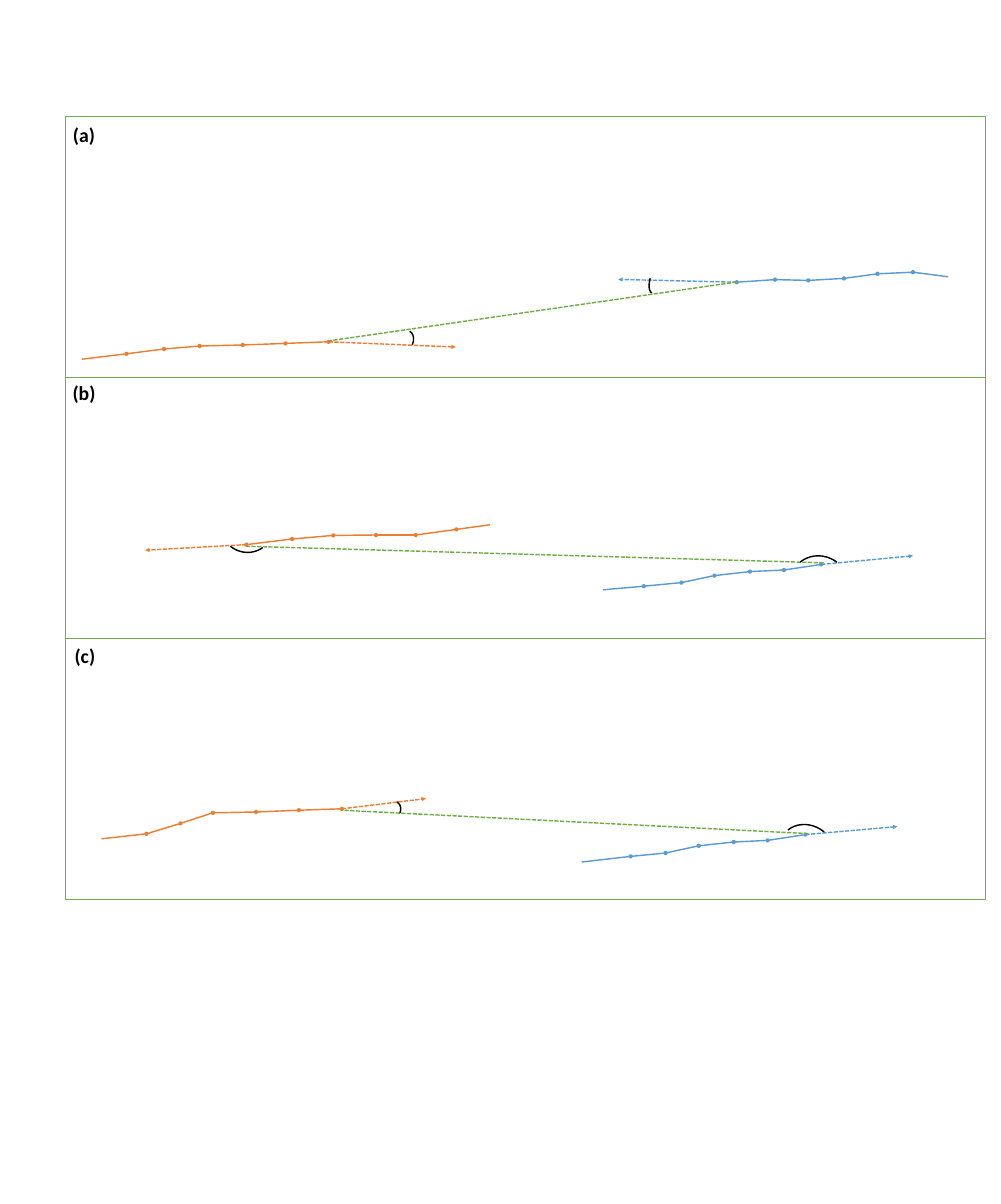
from lxml import etree
from pptx import Presentation
from pptx.dml.color import RGBColor
from pptx.enum.dml import MSO_LINE
from pptx.enum.shapes import MSO_CONNECTOR, MSO_SHAPE
from pptx.enum.text import MSO_AUTO_SIZE
from pptx.oxml.ns import qn
from pptx.util import Cm, Pt

STRAIGHT = MSO_CONNECTOR.STRAIGHT
RECTANGLE, ARC = MSO_SHAPE.RECTANGLE, MSO_SHAPE.ARC
SHORT_DASH = MSO_LINE.SQUARE_DOT
FIT_SHAPE = MSO_AUTO_SIZE.SHAPE_TO_FIT_TEXT

ORANGE = RGBColor(0xED, 0x7D, 0x31)
BLUE = RGBColor(0x5B, 0x9B, 0xD5)
GREEN = RGBColor(0x70, 0xAD, 0x47)
BLACK = RGBColor(0x00, 0x00, 0x00)

PANEL_LEFT, PANEL_TOP, PANEL_WIDTH, PANEL_HEIGHT = 3.28, 5.84, 46, 13.05

# All lengths are in centimetres. Tracks run from the end that faces the link.
# Arcs are left, top, width, height, rotation.
PANELS = [
    {
        "label": ("(a)", 3.4, 6.02, 3.18),
        "tracks": [
            (ORANGE, (22.78, 17.35),
             [(16.43, 17.09), (14.27, 17.17), (12.14, 17.25), (9.98, 17.3),
              (8.2, 17.45), (6.32, 17.69), (4.09, 17.96)]),
            (BLUE, (30.91, 13.97),
             [(36.83, 14.11), (38.74, 13.98), (40.41, 14.02), (42.19, 13.92),
              (43.87, 13.69), (45.64, 13.61), (47.4, 13.84)]),
        ],
        "link": ((36.83, 14.1), (16.46, 17.04)),
        "arcs": [(19.66, 16.46, 0.97, 1.27, 32),
                 (32.51, 13.18, 0.61, 1.5, 197.7)],
    },
    {
        "label": ("(b)", 3.38, 18.92, 3.68),
        "tracks": [
            (ORANGE, (7.26, 27.51),
             [(12.32, 27.23), (14.6, 26.95), (16.66, 26.77), (18.8, 26.75),
              (20.78, 26.75), (22.81, 26.47), (24.49, 26.24)]),
            (BLUE, (45.64, 27.79),
             [(41.05, 28.22), (39.19, 28.5), (37.49, 28.58), (35.71, 28.78),
              (34.06, 29.13), (32.18, 29.31), (30.15, 29.49)]),
        ],
        "link": ((41.17, 28.14), (12.19, 27.31)),
        "arcs": [(11.02, 24.92, 2.62, 2.72, 143.8),
                 (39.5, 27.76, 2.95, 3.1, 321.3)],
    },
    {
        "label": ("(c)", 3.48, 32.05, 3.78),
        "tracks": [
            (ORANGE, (21.29, 39.93),
             [(17.09, 40.44), (14.94, 40.51), (12.8, 40.6), (10.64, 40.64),
              (9.02, 41.17), (7.32, 41.69), (5.08, 41.94)]),
            (BLUE, (44.86, 41.33),
             [(40.26, 41.73), (38.37, 42.02), (36.68, 42.1), (34.93, 42.29),
              (33.27, 42.65), (31.52, 42.82), (29.08, 43.1)]),
        ],
        "link": ((40.41, 41.68), (17.09, 40.51)),
        "arcs": [(19.15, 40.01, 0.86, 1.02, 32),
                 (38.99, 41.15, 2.79, 3.18, 321.3)],
    },
]

deck = Presentation()
deck.slide_width, deck.slide_height = Cm(50.04), Cm(60.2)
page = deck.slides.add_slide(deck.slide_layouts[6])


def add_line(start, end, color, dashed=False, ending=None, kind=None):
    """Draw a straight line; ending is "headEnd" or "tailEnd", kind its marker."""
    line = page.shapes.add_connector(
        STRAIGHT, *(Cm(value) for value in (*start, *end)))
    line.line.color.rgb = color
    line.line.width = Pt(2)
    if dashed:
        line.line.dash_style = SHORT_DASH
    properties = line._element.spPr
    if ending:
        etree.SubElement(properties.find(qn("a:ln")), qn(f"a:{ending}"), type=kind)
    etree.SubElement(properties, qn("a:effectLst"))


def add_outline(preset, left, top, width, height, color, weight):
    shape = page.shapes.add_shape(
        preset, Cm(left), Cm(top), Cm(width), Cm(height))
    shape.shadow.inherit = False
    shape.fill.background()
    shape.line.color.rgb = color
    shape.line.width = Pt(weight)
    return shape


for row, panel in enumerate(PANELS):
    add_outline(RECTANGLE, PANEL_LEFT, PANEL_TOP + row * PANEL_HEIGHT,
                PANEL_WIDTH, PANEL_HEIGHT, GREEN, 1.5)

    for color, arrow_tip, points in panel["tracks"]:
        for start, end in zip(points, points[1:]):
            add_line(start, end, color, ending="headEnd", kind="oval")
        add_line(points[0], arrow_tip, color, dashed=True,
                 ending="tailEnd", kind="triangle")
    add_line(*panel["link"], GREEN, dashed=True)

    for *frame, rotation in panel["arcs"]:
        arc = add_outline(ARC, *frame, BLACK, 2)
        arc.adjustments[0] = 162
        arc.adjustments[1] = 206.707
        arc.rotation = rotation

    text, left, top, width = panel["label"]
    box = page.shapes.add_textbox(Cm(left), Cm(top), Cm(width), Cm(1.45))
    box.text_frame.word_wrap = True
    box.text_frame.auto_size = FIT_SHAPE
    span = box.text_frame.paragraphs[0].add_run()
    span.text = text
    span.font.name = "Calibri"
    span.font.size = Pt(28)
    span.font.bold = True
    span.font.color.rgb = BLACK

deck.save("out.pptx")
